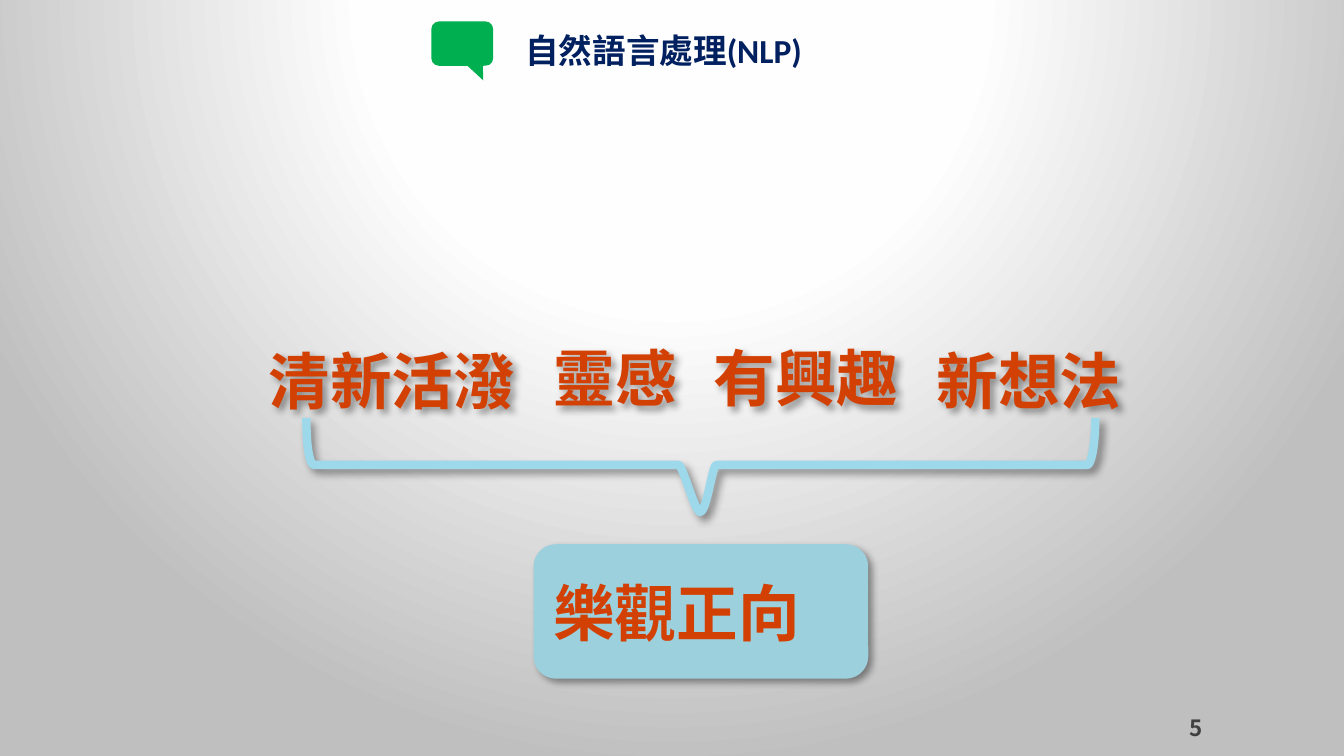
import pptx
import pptx.dml.color
import pptx.enum.shapes
import pptx.enum.text
import pptx.oxml
import pptx.oxml.ns
import pptx.util

Inches = pptx.util.Inches
RGBColor = pptx.dml.color.RGBColor
SHAPE = pptx.enum.shapes.MSO_SHAPE
MIDDLE = pptx.enum.text.MSO_ANCHOR.MIDDLE

ORANGE = RGBColor(0xD2, 0x41, 0x03)
NAVY = RGBColor(0x00, 0x20, 0x60)
GREY = RGBColor(0x40, 0x40, 0x40)
GREEN = RGBColor(0x00, 0xB0, 0x50)
SKY = RGBColor(0x9D, 0xD9, 0xEA)
PALE_BLUE = RGBColor(0x9D, 0xD0, 0xDD)

KEYWORD = {"size": pptx.util.Pt(33), "name": "Arial", "bold": True}
HEADING = {"size": pptx.util.Pt(18), "name": "Calibri", "bold": True}
NUMBER = {"size": pptx.util.Pt(12), "name": "Noto Sans CJK SC", "bold": True}

NS = pptx.oxml.ns.nsdecls("a", "p")
BACKGROUND = f"""<p:bg {NS}><p:bgPr><a:gradFill rotWithShape="1"><a:gsLst>
<a:gs pos="0"><a:srgbClr val="FFFFFF"/></a:gs>
<a:gs pos="40000"><a:srgbClr val="FEFEFE"/></a:gs>
<a:gs pos="100000"><a:srgbClr val="BFBFBF"/></a:gs></a:gsLst>
<a:path path="circle"><a:fillToRect l="50000" t="-80000" r="50000" b="180000"/></a:path>
</a:gradFill><a:effectLst/></p:bgPr></p:bg>"""
SHADOW = f"""<a:effectLst {NS}><a:outerShdw blurRad="50800" dist="38100" dir="2700000"
algn="tl" rotWithShape="0"><a:srgbClr val="000000"><a:alpha val="40000"/></a:srgbClr>
</a:outerShdw></a:effectLst>"""


def write(shape, text, style, color, **frame_format):
    frame = shape.text_frame
    for key, value in frame_format.items():
        setattr(frame, key, value)
    paragraph = frame.paragraphs[0]
    paragraph.alignment = pptx.enum.text.PP_ALIGN.LEFT
    run = paragraph.add_run()
    run.text = text
    for key, value in style.items():
        setattr(run.font, key, value)
    run.font.color.rgb = color


def curve(start, control1, control2, end, steps=12):
    """Points in EMU along a cubic Bezier curve given in inches."""
    return [tuple(Inches((1 - t) ** 3 * a + 3 * (1 - t) ** 2 * t * b
                         + 3 * (1 - t) * t ** 2 * c + t ** 3 * d)
                  for a, b, c, d in zip(start, control1, control2, end))
            for t in (i / steps for i in range(steps + 1))]


deck = pptx.Presentation()
deck.slide_width = Inches(10)
deck.slide_height = deck.slide_width * 9 // 16
slide = deck.slides.add_slide(deck.slide_layouts[6])
slide.element.cSld.insert(0, pptx.oxml.parse_xml(BACKGROUND))
shapes = slide.shapes

# Keywords
for word, left, top, width in [("有興趣", 5.21, 2.48, 1.59), ("靈感", 4.02, 2.48, 1.13),
                               ("新想法", 6.87, 2.5, 1.59), ("清新活潑", 1.9, 2.5, 2.05)]:
    keyword = shapes.add_textbox(Inches(left), Inches(top), Inches(width), Inches(0.66))
    write(keyword, word, KEYWORD, ORANGE, word_wrap=False)
    keyword.element.spPr.append(pptx.oxml.parse_xml(SHADOW))

# Bracket that gathers the keywords
outline = (curve((8.15, 3.11), (8.15, 3.31), (8.12, 3.46), (8.09, 3.46))
           + curve((5.33, 3.46), (5.3, 3.46), (5.26, 3.81), (5.21, 3.81))
           + curve((5.21, 3.81), (5.17, 3.81), (5.08, 3.46), (5.05, 3.46))
           + curve((2.34, 3.46), (2.3, 3.46), (2.28, 3.31), (2.28, 3.11)))
builder = shapes.build_freeform(*outline[0])
builder.add_line_segments(outline[1:], close=False)
bracket = builder.convert_to_shape()
bracket.fill.background()
bracket.line.color.rgb = SKY
bracket.line.width = pptx.util.Pt(4.5)
bracket.element.spPr.append(pptx.oxml.parse_xml(SHADOW))

# Conclusion
conclusion = shapes.add_shape(SHAPE.ROUNDED_RECTANGLE, Inches(3.97), Inches(4.05),
                              Inches(2.49), Inches(1))
conclusion.fill.solid()
conclusion.fill.fore_color.rgb = PALE_BLUE
conclusion.line.fill.background()
conclusion.element.spPr.append(pptx.oxml.parse_xml(SHADOW))
write(conclusion, "樂觀正向", KEYWORD, ORANGE, vertical_anchor=MIDDLE)

# Heading with its speech bubble
heading = shapes.add_textbox(Inches(3.81), Inches(0.17), Inches(3.23), Inches(0.4))
write(heading, "自然語言處理(NLP)", HEADING, NAVY, word_wrap=True, vertical_anchor=MIDDLE)
bubble = shapes.add_shape(SHAPE.ROUNDED_RECTANGULAR_CALLOUT, Inches(3.21), Inches(0.16),
                          Inches(0.46), Inches(0.33))
for i, value in enumerate((0.34, 0.83, 0.17)):
    bubble.adjustments[i] = value
bubble.fill.solid()
bubble.fill.fore_color.rgb = GREEN
bubble.line.fill.background()
bubble.shadow.inherit = False

# Page number
page_number = shapes.add_textbox(Inches(8.78), Inches(5.27), Inches(0.25), Inches(0.28))
write(page_number, "5", NUMBER, GREY, word_wrap=False,
      margin_left=Inches(0.07), margin_right=Inches(0.07),
      margin_top=Inches(0.04), margin_bottom=Inches(0.04))

deck.save("out.pptx")
